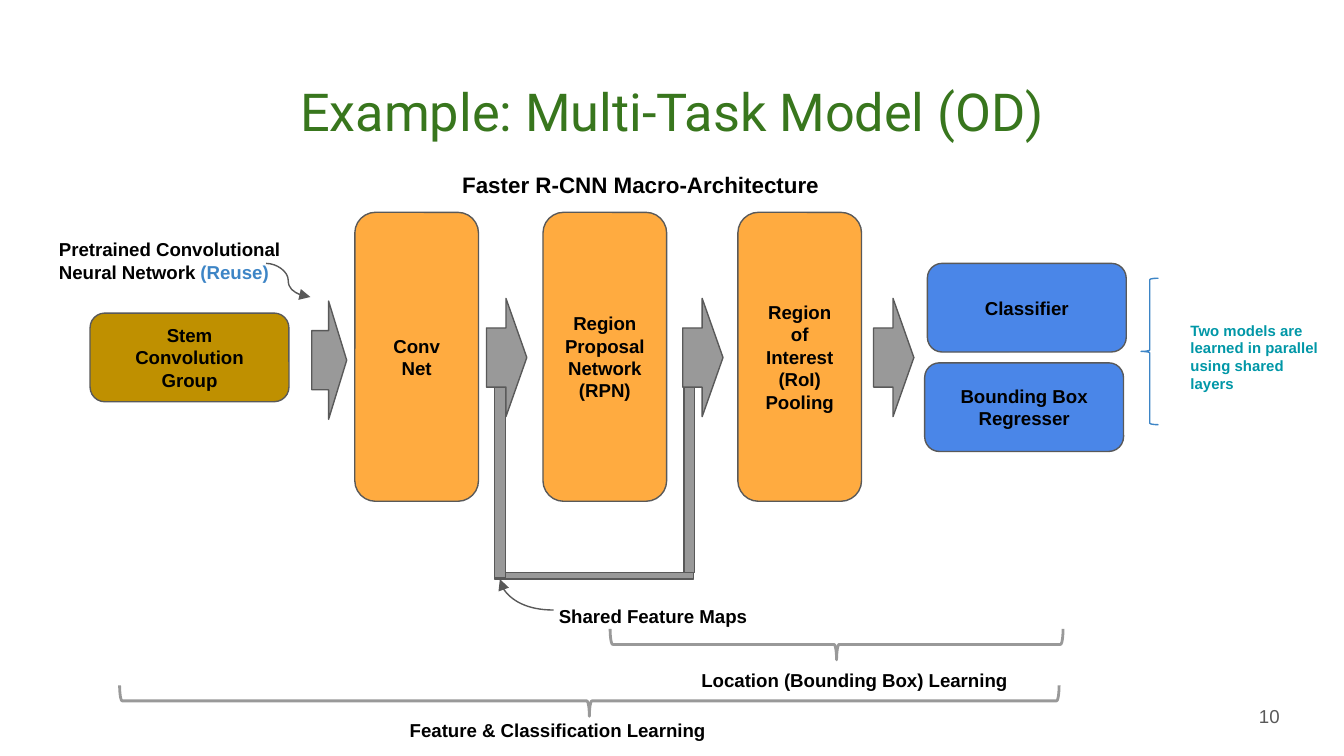
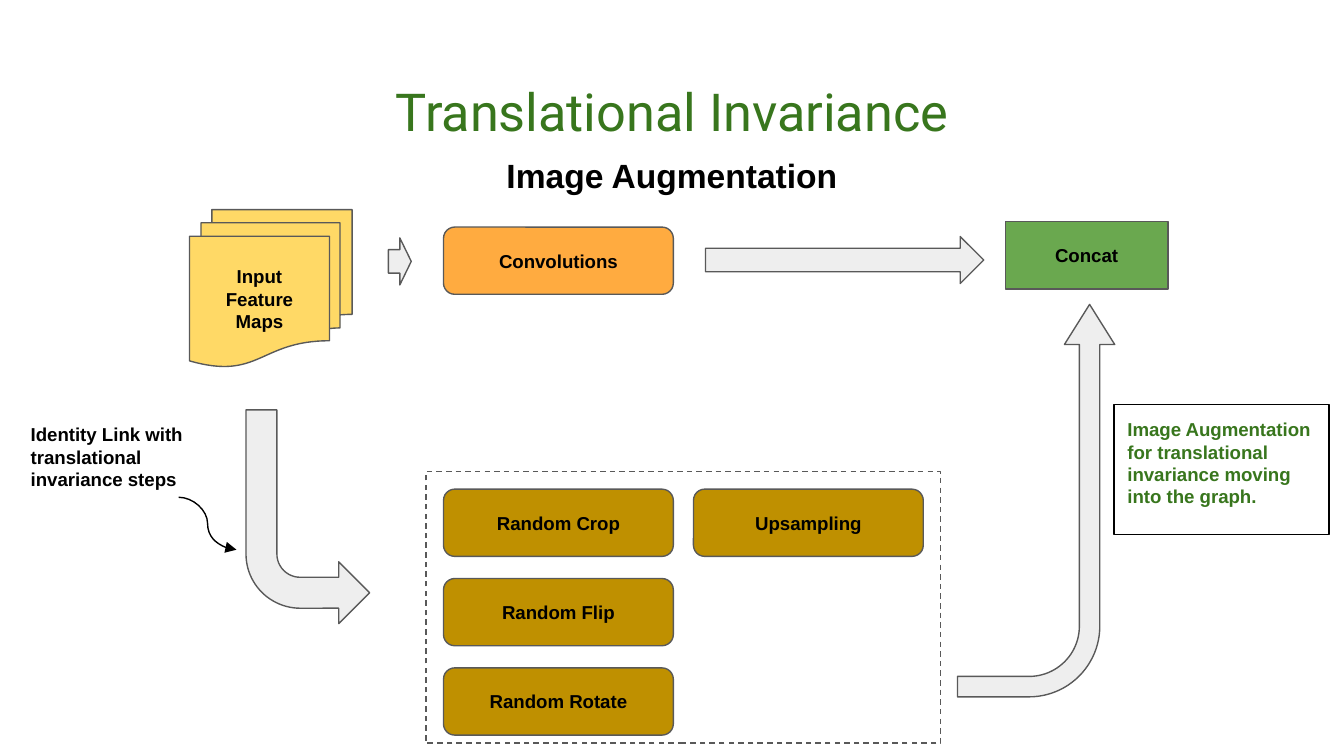
from dataclasses import dataclass

from lxml import etree
from pptx import Presentation
from pptx.dml import color
from pptx.enum import dml, shapes, text
from pptx.oxml import ns
from pptx.util import Inches, Pt

COLUMNS, ROWS = 100, 56.25
CELL = Inches(10) / COLUMNS
BLACK, SLATE, GRAY, PALE = "000000", "595959", "999999", "EEEEEE"
GREEN, BLUE, SKY, TEAL = "38761D", "4A86E8", "3D85C6", "0097A7"
OCHRE, ORANGE, YELLOW, LEAF = "BF9000", "FFAB40", "FFD966", "6AA84F"
KIND = shapes.MSO_SHAPE
ALIGN = text.PP_ALIGN
ANCHOR = text.MSO_ANCHOR


@dataclass
class Box:
    left: float
    top: float
    width: float
    height: float

    def inner(self, left, top, width, height):
        return Box(self.left + left, self.top + top, width, height)

    def point(self, left, top):
        return cells(self.left + left), cells(self.top + top)

    def turned(self):
        shift = (self.width - self.height) / 2
        return Box(self.left + shift, self.top - shift, self.height, self.width)

    def place(self):
        return [cells(side) for side in (self.left, self.top, self.width, self.height)]


def cells(count):
    return round(count * CELL)


def paint(code):
    return color.RGBColor.from_string(code)


def write(frame, paragraphs, size=10, ink=BLACK, align=ALIGN.LEFT,
          anchor=ANCHOR.TOP, bold=True, font="Arial"):
    frame.word_wrap = True
    frame.auto_size = text.MSO_AUTO_SIZE.NONE
    frame.vertical_anchor = anchor
    frame.margin_left = frame.margin_right = Inches(0.1)
    frame.margin_top = frame.margin_bottom = Inches(0.1)
    for index, spans in enumerate(paragraphs):
        para = frame.paragraphs[0] if index == 0 else frame.add_paragraph()
        para.alignment = align
        for words, tint in [(spans, ink)] if isinstance(spans, str) else spans:
            for number, line in enumerate(words.split("\n")):
                if number:
                    para.add_line_break()
                span = para.add_run()
                span.text = line
                span.font.name = font
                span.font.size = Pt(size)
                span.font.bold = bold
                span.font.color.rgb = paint(tint)


def label(page, box, *paragraphs, **style):
    write(page.shapes.add_textbox(*box.place()).text_frame, paragraphs, **style)


def figure(page, kind, box, fill=None, line=SLATE, width=0.75, turn=0, flip=False, adjust=()):
    frame = box.turned() if turn in (90, 270) else box
    shape = page.shapes.add_shape(kind, *frame.place())
    shape.shadow.inherit = False
    shape.rotation = turn
    if flip:
        shape.element.spPr.find(ns.qn("a:xfrm")).set("flipH", "1")
    for index, value in enumerate(adjust):
        shape.adjustments[index] = value
    if fill:
        shape.fill.solid()
        shape.fill.fore_color.rgb = paint(fill)
    else:
        shape.fill.background()
    shape.line.color.rgb = paint(line)
    shape.line.width = Pt(width)
    return shape


def block(page, box, fill, *paragraphs, kind=KIND.ROUNDED_RECTANGLE):
    shape = figure(page, kind, box, fill)
    write(shape.text_frame, paragraphs, align=ALIGN.CENTER, anchor=ANCHOR.MIDDLE)


def flow_arrow(page, box):
    figure(page, KIND.DOWN_ARROW, box, GRAY, turn=270, adjust=(0.5, 0.517))


def pointer(page, start, end, line=SLATE, preset="curvedConnector3"):
    curve = page.shapes.add_connector(shapes.MSO_CONNECTOR.CURVE, *start, *end)
    curve.line.color.rgb = paint(line)
    curve.line.width = Pt(0.75)
    properties = curve.element.spPr
    properties.find(ns.qn("a:prstGeom")).set("prst", preset)
    outline = properties.find(ns.qn("a:ln"))
    etree.SubElement(outline, ns.qn("a:tailEnd")).set("type", "triangle")
    etree.SubElement(properties, ns.qn("a:effectLst"))


def titled_page(deck, words):
    page = deck.slides.add_slide(deck.slide_layouts[5])
    title = page.shapes.title
    title.left, title.top, title.width, title.height = Box(3.4, 4.9, 93.2, 6.3).place()
    write(title.text_frame, [words], size=28, ink=GREEN, align=ALIGN.CENTER,
          bold=False, font="Roboto")
    return page


def page_number(page, box, number):
    label(page, box, number, ink=SLATE, align=ALIGN.RIGHT, anchor=ANCHOR.MIDDLE, bold=False)


def shared_maps(page, box):
    for pipe in ((14.1, 0, 0.8, 14.6), (0, 14.6, 14.8, 0.5), (0, 0.8, 0.8, 14.2)):
        figure(page, KIND.RECTANGLE, box.inner(*pipe), GRAY)
    label(page, box.inner(3.8, 16, 16.4, 2.8), "Shared Feature Maps")
    pointer(page, box.point(4.4, 17.4), box.point(0.4, 15.1), preset="curvedConnector2")


def pipeline(page, box):
    block(page, box.inner(0, 7.5, 14.8, 6.6), OCHRE, "Stem\nConvolution Group")
    stages = (
        (19.7, ["Conv", "Net"]),
        (33.7, ["Region", "Proposal", "Network", "(RPN)"]),
        (48.2, ["Region of Interest (RoI)\nPooling"]),
    )
    for left, lines in stages:
        block(page, box.inner(left, 0, 9.2, box.height), ORANGE, *lines)
    flow_arrow(page, box.inner(16.5, 6.6, 2.6, 8.8))
    for left in (29.5, 44.1, 58.3):
        flow_arrow(page, box.inner(left, 6.4, 3, 8.8))


def reuse_note(page, box):
    label(page, box.inner(0, 0, 18.9, 2.8),
          [("Pretrained Convolutional Neural Network ", BLACK), ("(Reuse)", SKY)])
    pointer(page, box.point(16.4, 2.9), box.point(19.7, 5.4))


def parallel_heads(page, box):
    block(page, box.inner(0.2, 0, 14.8, 6.6), BLUE, "Classifier")
    block(page, box.inner(0, 7.4, 14.8, 6.6), BLUE, "Bounding Box\nRegresser")
    figure(page, KIND.LEFT_BRACE, box.inner(16.1, 1.1, 1.3, 10.9), line=SKY)
    label(page, box.inner(18.8, 3.3, 12.4, 6.6),
          "Two models are learned in parallel using shared layers", size=8, ink=TEAL)


def learning_span(page, box, left, top, words):
    figure(page, KIND.LEFT_BRACE, box, line=GRAY, width=1.5, turn=270)
    label(page, box.inner(left, top, 28.5, 2.8), words)


def main_path(page, box):
    block(page, box.inner(0, 0, 12.1, 11.7), YELLOW, "Input", "Feature", "Maps",
          kind=KIND.FLOWCHART_MULTIDOCUMENT)
    block(page, box.inner(18.9, 1.3, 17.1, 5), ORANGE, "Convolutions")
    block(page, box.inner(60.7, 0.9, 12.1, 5), LEAF, "Concat", kind=KIND.RECTANGLE)
    for left, top, width in ((14.8, 2.1, 1.7), (38.4, 2, 20.7)):
        figure(page, KIND.RIGHT_ARROW, box.inner(left, top, width, 3.5), PALE)


def augmentations(page, box):
    columns = (("Random Crop", "Random Flip", "Random Rotate"), ("Upsampling",))
    for column, steps in enumerate(columns):
        for row, step in enumerate(steps):
            place = box.inner(1.3 + 18.6 * column, 1.3 + 6.65 * row, 17.1, 5)
            block(page, place, OCHRE, step)
    figure(page, KIND.RECTANGLE, box).line.dash_style = dml.MSO_LINE.DASH


def identity_link(page, box):
    figure(page, KIND.BENT_ARROW, box.inner(17, 0, 9.2, 15.9), PALE, turn=180, flip=True,
           adjust=(0.25, 0.25, 0.25, 0.438))
    label(page, box.inner(0, 0, 13.5, 9.4), "Identity Link with translational invariance steps")
    pointer(page, box.point(12, 6.5), box.point(16.3, 10.4), BLACK)


def return_link(page, box):
    figure(page, KIND.BENT_ARROW, box.inner(0, 0, 11.7, 29.2), PALE, turn=90, flip=True,
           adjust=(0.13, 0.16, 0.255, 0.45))
    note = figure(page, KIND.RECTANGLE, box.inner(11.65, 7.45, 16, 9.7), line=BLACK)
    write(note.text_frame,
          ["Image Augmentation for translational invariance moving into the graph."], ink=GREEN)


def multi_task_page(deck):
    page = titled_page(deck, "Example: Multi-Task Model (OD)")
    page_number(page, Box(90.1, 51.2, 6.1, 4.1), "10")
    label(page, Box(33.4, 11.7, 33.2, 3.6), "Faster R-CNN Macro-Architecture", size=12)
    shared_maps(page, Box(36.8, 28, 20.2, 18.8))
    pipeline(page, Box(6.7, 15.8, 61.3, 21.5))
    reuse_note(page, Box(3.4, 16.7, 19.7, 5.4))
    parallel_heads(page, Box(68.8, 19.6, 31.2, 14))
    learning_span(page, Box(45.4, 46.8, 33.7, 2.3), 5.8, 2, "Location (Bounding Box) Learning")
    learning_span(page, Box(8.9, 51, 69.9, 2.3), 20.6, 1.5, "Feature & Classification Learning")


def invariance_page(deck):
    page = titled_page(deck, "Translational Invariance")
    label(page, Box(36.7, 10.5, 28.1, 4.3), "Image Augmentation", size=18)
    main_path(page, Box(14.1, 15.6, 72.8, 11.7))
    augmentations(page, Box(31.7, 35.1, 38.3, 20.2))
    identity_link(page, Box(1.3, 30.5, 26.2, 15.9))
    return_link(page, Box(71.25, 22.65, 27.65, 29.2))


def main():
    deck = Presentation()
    deck.slide_width, deck.slide_height = cells(COLUMNS), cells(ROWS)
    multi_task_page(deck)
    invariance_page(deck)
    deck.save("out.pptx")


if __name__ == "__main__":
    main()
